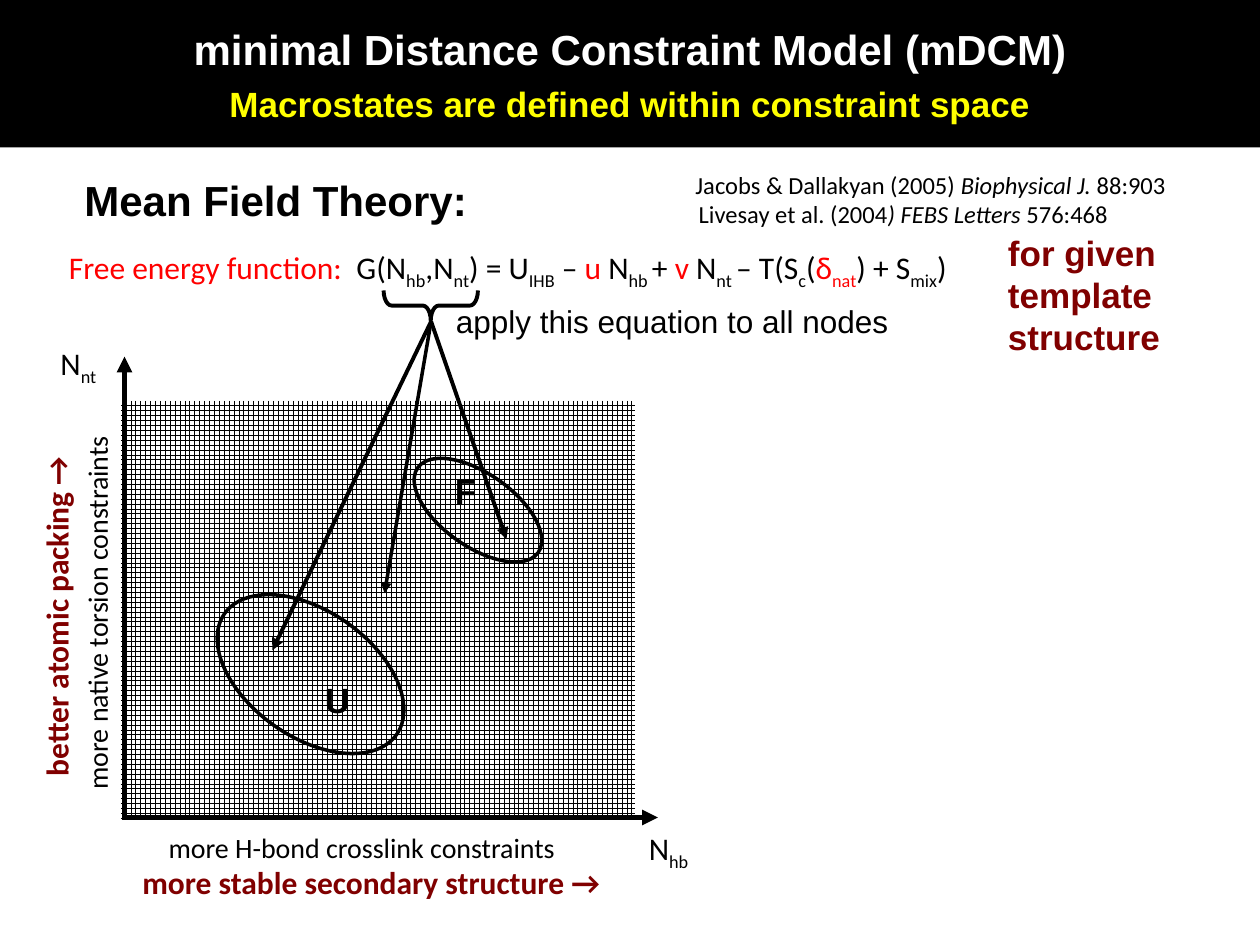
from lxml import etree
from pptx import Presentation
from pptx.dml.color import RGBColor
from pptx.enum.dml import MSO_PATTERN
from pptx.enum.shapes import MSO_CONNECTOR, MSO_SHAPE
from pptx.enum.text import MSO_ANCHOR, MSO_AUTO_SIZE, PP_ALIGN
from pptx.oxml.ns import qn
from pptx.util import Cm, Pt

BLACK = RGBColor(0x00, 0x00, 0x00)
WHITE = RGBColor(0xFF, 0xFF, 0xFF)
YELLOW = RGBColor(0xFF, 0xFF, 0x00)
RED = RGBColor(0xFF, 0x00, 0x00)
MAROON = RGBColor(0x80, 0x00, 0x00)

prs = Presentation()
prs.slide_width, prs.slide_height = Cm(25.4), Cm(19.05)
s = prs.slides.add_slide(prs.slide_layouts[5])


def add_text(box, paras, size, font="Calibri", color=BLACK, bold=False, wrap=True, rot=0):
    sp = s.shapes.add_textbox(*[Cm(v) for v in box])
    sp.rotation = rot
    tf = sp.text_frame
    tf.word_wrap = wrap
    tf.auto_size = MSO_AUTO_SIZE.SHAPE_TO_FIT_TEXT
    for i, runs in enumerate(paras):
        p = tf.paragraphs[0] if i == 0 else tf.add_paragraph()
        for text, style in runs:
            r = p.add_run()
            r.text = text
            r.font.name, r.font.size, r.font.bold = font, Pt(size), bold
            r.font.color.rgb = RED if "red" in style else color
            if "italic" in style:
                r.font.italic = True
            if "sub" in style:
                r._r.get_or_add_rPr().set("baseline", "-25000")
    return tf


def add_arrow(start, end, width):
    cx = s.shapes.add_connector(MSO_CONNECTOR.STRAIGHT, *[Cm(v) for v in start + end])
    cx.line.color.rgb = BLACK
    cx.line.width = Pt(width)
    etree.SubElement(cx.line._get_or_add_ln(), qn("a:tailEnd"), type="triangle")
    etree.SubElement(cx._element.spPr, qn("a:effectLst"))


title = s.shapes.title
title.left, title.top, title.width, title.height = Cm(0), Cm(0), Cm(25.4), Cm(2.97)
title.fill.solid()
title.fill.fore_color.rgb = BLACK
tf = title.text_frame
tf.auto_size = MSO_AUTO_SIZE.NONE
tf.vertical_anchor = MSO_ANCHOR.MIDDLE
headings = [
    ("minimal Distance Constraint Model (mDCM)", 24, WHITE, 0),
    ("Macrostates are defined within constraint space", 20, YELLOW, 4.8),
]
for i, (text, size, color, before) in enumerate(headings):
    p = tf.paragraphs[0] if i == 0 else tf.add_paragraph()
    p.alignment = PP_ALIGN.CENTER
    p.space_before = Pt(before)
    r = p.add_run()
    r.text = text
    r.font.name, r.font.size, r.font.bold = "Arial", Pt(size), True
    r.font.color.rgb = color

grid = s.shapes.add_shape(MSO_SHAPE.RECTANGLE, Cm(2.44), Cm(8.08), Cm(10.36), Cm(8.46))
grid.shadow.inherit = False
grid.fill.patterned()
grid.fill.pattern = MSO_PATTERN.LARGE_GRID
grid.fill.fore_color.rgb = BLACK
grid.fill.back_color.rgb = WHITE
grid.line.fill.background()

add_arrow((2.51, 16.51), (2.51, 7.19), 3)
add_arrow((2.46, 16.48), (13.26, 16.48), 3)

outlines = [
    (MSO_SHAPE.OVAL, (8.15, 9.55, 2.97, 1.47), 35.1, 2),
    (MSO_SHAPE.OVAL, (4.14, 12.32, 4.24, 2.54), 35.1, 2),
    (MSO_SHAPE.LEFT_BRACE, (8.38, 5.21, 0.61, 1.9), 270, 2.25),
]
for kind, box, rot, width in outlines:
    sp = s.shapes.add_shape(kind, *[Cm(v) for v in box])
    sp.shadow.inherit = False
    sp.rotation = rot
    sp.fill.background()
    sp.line.color.rgb = BLACK
    sp.line.width = Pt(width)
    if kind == MSO_SHAPE.LEFT_BRACE:
        sp.adjustments[0] = 0.265

add_text((-2.44, 11.3, 8.79, 0.94), [[("more native torsion constraints", "")]], 16, rot=270)
add_text((3.15, 16.61, 9.04, 0.94), [[("more H-bond crosslink constraints", "")]], 16, wrap=False)
add_text((12.83, 16.59, 1.45, 1.02), [[("N", ""), ("hb", "sub")]], 18)
add_text((0.97, 6.81, 1.47, 1.02), [[("N", ""), ("nt", "sub")]], 18)
add_text((8.92, 9.35, 1.07, 1.09), [[("F", "")]], 20, "Arial", bold=True)
add_text((6.3, 13.56, 1.07, 1.09), [[("U", "")]], 20, "Arial", bold=True)

equation = [
    ("Free energy function:  ", "red"), ("G(N", ""), ("hb", "sub"), (",N", ""),
    ("nt", "sub"), (") = U", ""), ("IHB", "sub"), (" – ", ""), ("u ", "red"),
    ("N", ""), ("hb ", "sub"), ("+ ", ""), ("v ", "red"), ("N", ""),
    ("nt ", "sub"), ("– T(S", ""), ("c", "sub"), ("(", ""), ("δ", "red"),
    ("nat", "red sub"), (") + S", ""), ("mix", "sub"), (")", ""),
]
add_text((1.14, 4.88, 21.31, 1.02), [equation], 18)

citations = [
    [("Jacobs & Dallakyan (2005) ", ""), ("Biophysical J.", "italic"), (" 88:903", "")],
    [(" ", "sub"), ("Livesay et al. (2004", ""), (") FEBS Letters", "italic"), (" 576:468", "")],
]
tf = add_text((13.77, 3.18, 11.23, 1.55), citations, 14)
tf.paragraphs[0].line_spacing = 1.2

add_text((1.45, 3.4, 8.23, 1.27), [[("Mean Field Theory:", "")]], 24, "Arial", bold=True, wrap=False)
add_text((-2.41, 11.84, 7.09, 1.02), [[("better atomic packing →", "")]], 18,
         color=MAROON, bold=True, wrap=False, rot=270)
add_text((2.62, 17.27, 10.19, 1.02), [[("more stable secondary structure →", "")]], 18,
         color=MAROON, bold=True, wrap=False)
add_text((8.94, 5.97, 9.32, 1.02), [[("apply this equation to all nodes", "")]], 18, "Arial", wrap=False)
add_text((20.07, 4.55, 3.63, 2.82), [[("for given", "")], [("template structure", "")]], 20,
         "Arial", MAROON, bold=True)

for node, width in [((5.49, 13.11), 2.25), ((10.21, 10.87), 2.25), ((7.75, 11.96), 2)]:
    add_arrow((8.69, 6.48), node, width)

prs.save("out.pptx")
